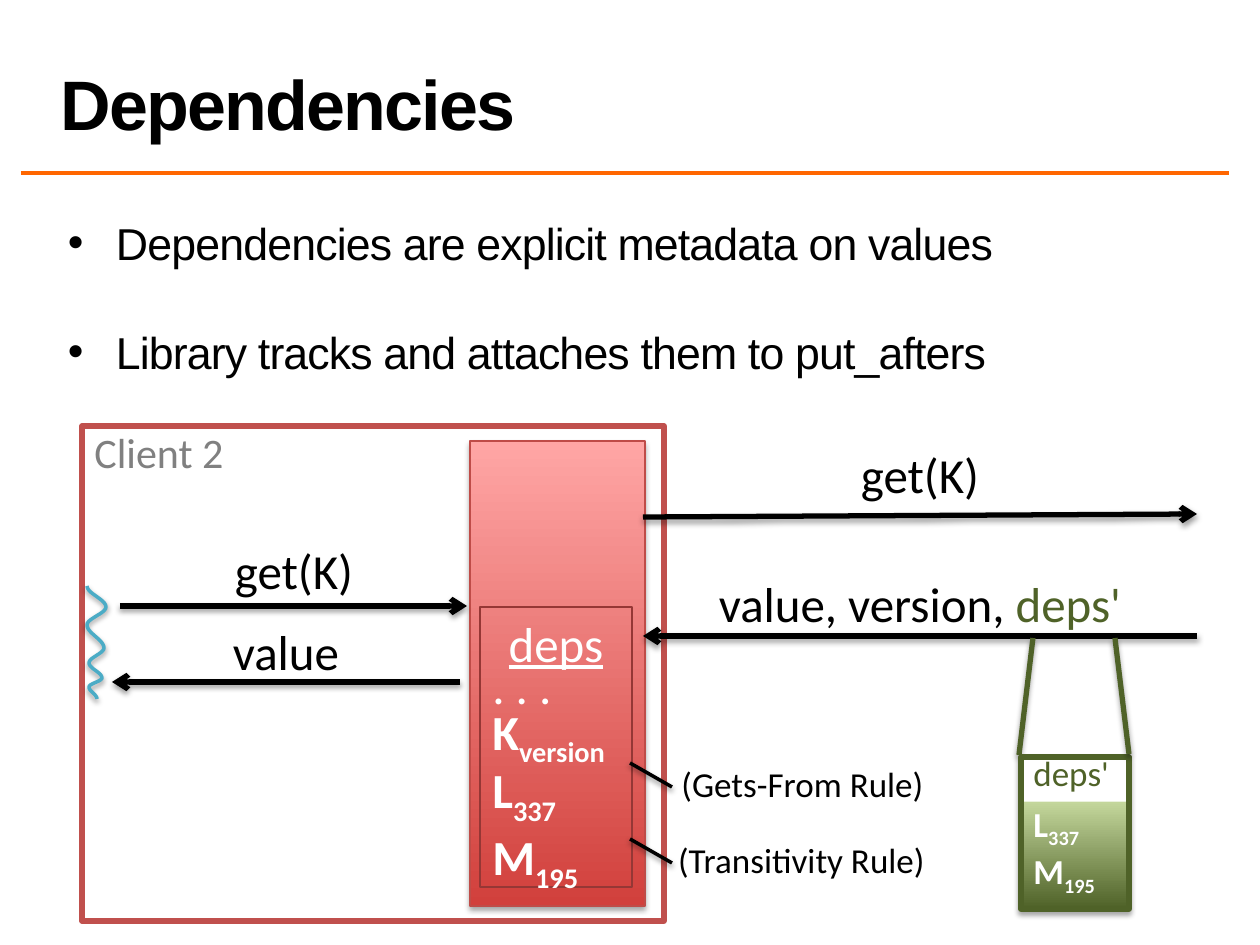
from lxml import etree
from math import cos, pi
from pptx import Presentation
from pptx.dml.color import RGBColor
from pptx.enum.shapes import MSO_CONNECTOR, MSO_SHAPE
from pptx.enum.text import MSO_ANCHOR, PP_ALIGN
from pptx.oxml.ns import qn
from pptx.util import Pt

PIXEL = 914400 / 126
STRAIGHT = MSO_CONNECTOR.STRAIGHT
RECTANGLE = MSO_SHAPE.RECTANGLE
TOP, BOTTOM = MSO_ANCHOR.TOP, MSO_ANCHOR.BOTTOM
LEFT, CENTER = PP_ALIGN.LEFT, PP_ALIGN.CENTER

COLORS = {
    "black": "000000", "white": "FFFFFF", "gray": "808080", "orange": "FF6600",
    "client": "C0504D", "library": "BF4C48", "library_dark": "D1403C",
    "library_light": "FFA6A5", "deps": "953735", "green": "4F6228",
    "green_light": "C3D69B", "thread": "4BACC6",
}


def px(value):
    return round(value * PIXEL)


def rgb(name):
    return RGBColor.from_string(COLORS[name])


def add_color(parent, name):
    return etree.SubElement(parent, qn("a:srgbClr"), val=COLORS[name])


def add_shadow(shape, opacity=38):
    properties = shape.element.spPr
    effects = properties.find(qn("a:effectLst"))
    if effects is None:
        effects = etree.SubElement(properties, qn("a:effectLst"))
    shadow = etree.SubElement(effects, qn("a:outerShdw"), blurRad=str(Pt(3.1)),
                              dist=str(Pt(1.8)), dir="5400000", rotWithShape="0")
    etree.SubElement(add_color(shadow, "black"), qn("a:alpha"), val=str(opacity * 1000))


def set_gradient(shape, stops):
    shape.fill.gradient()
    shape.fill.gradient_angle = 90
    stop_list = shape.element.spPr.find(".//" + qn("a:gsLst"))
    stop_list.clear()
    for position, name in stops:
        stop = etree.SubElement(stop_list, qn("a:gs"), pos=str(position * 1000))
        add_color(stop, name)


def add_line(page, start, end, color="black", width=3, arrow=False, shadow=True):
    line = page.shapes.add_connector(STRAIGHT, *map(px, start + end))
    line.line.color.rgb = rgb(color)
    line.line.width = Pt(width)
    if arrow:
        outline = line.line._get_or_add_ln()
        etree.SubElement(outline, qn("a:tailEnd"), type="arrow")
    etree.SubElement(line.element.spPr, qn("a:effectLst"))
    if shadow:
        add_shadow(line)


def add_box(page, area, line, width, fill=None, stops=None, shadow=False):
    box = page.shapes.add_shape(RECTANGLE, *map(px, area))
    box.shadow.inherit = False
    if stops:
        set_gradient(box, stops)
    elif fill:
        box.fill.solid()
        box.fill.fore_color.rgb = rgb(fill)
    else:
        box.fill.background()
    box.line.color.rgb = rgb(line)
    box.line.width = Pt(width)
    if shadow:
        add_shadow(box, 35)
    return box


def add_span(para, text, size, color="black", font="Calibri", bold=False,
             underline=False, subscript=False, spacing=None):
    span = para.add_run()
    span.text = text
    span.font.name = font
    span.font.size = Pt(size)
    span.font.bold = bold
    span.font.underline = underline
    span.font.color.rgb = rgb(color)
    properties = span.font._element
    if subscript:
        properties.set("baseline", "-25000")
    if spacing:
        properties.set("spc", str(round(spacing * 100)))


def next_para(frame, align=LEFT, spacing=None):
    para = frame.paragraphs[0]
    if para.runs:
        para = frame.add_paragraph()
    para.alignment = align
    if spacing:
        para.line_spacing = spacing
    return para


def add_text(page, area, anchor=TOP):
    frame = page.shapes.add_textbox(*map(px, area)).text_frame
    frame.word_wrap = True
    frame.vertical_anchor = anchor
    return frame


def add_label(page, area, text, size=28, color="black", align=CENTER):
    para = next_para(add_text(page, area), align)
    add_span(para, text, size, color)
    return para


def add_versioned(frame, key, version, size, spacing=None):
    para = next_para(frame, spacing=spacing)
    add_span(para, key, size, "white", bold=True)
    add_span(para, version, size, "white", bold=True, subscript=True)


def add_heading(page, text):
    frame = add_text(page, (48, 3, 1181, 147), BOTTOM)
    add_span(next_para(frame, spacing=0.8), text, 40, font="Arial", bold=True, spacing=-1)


def add_bullets(page, lines):
    frame = add_text(page, (63, 221, 1197, 165))
    frame.margin_left = frame.margin_right = px(5)
    frame.margin_top = frame.margin_bottom = px(5)
    for line in lines:
        para = next_para(frame, spacing=0.8)
        para.space_before, para.space_after = Pt(30), Pt(8)
        add_span(para, line, 25.5, font="Arial", spacing=-0.5)
        properties = para._p.get_or_add_pPr()
        properties.set("marL", str(px(48)))
        properties.set("indent", str(-px(48)))
        etree.SubElement(properties, qn("a:buFont"), typeface="Arial")
        etree.SubElement(properties, qn("a:buChar"), char="•")


def add_thread(page):
    turns = [(87, 586), (106, 607), (87, 625), (104, 648),
             (89, 663), (102, 678), (89, 687), (97, 699)]
    steps = 10
    points = []
    for (x1, y1), (x2, y2) in zip(turns, turns[1:]):
        for step in range(1, steps + 1):
            part = step / steps
            ease = (1 - cos(pi * part)) / 2
            points.append((px(x1 + (x2 - x1) * ease), px(y1 + (y2 - y1) * part)))
    builder = page.shapes.build_freeform(px(turns[0][0]), px(turns[0][1]))
    builder.add_line_segments(points, close=False)
    thread = builder.convert_to_shape()
    thread.shadow.inherit = False
    thread.fill.background()
    thread.line.color.rgb = rgb("thread")
    thread.line.width = Pt(2)
    add_shadow(thread)


def add_library(page):
    add_box(page, (470, 441, 175, 465), "library", 0.75, shadow=True,
            stops=[(0, "library_dark"), (100, "library_light")])
    frame = add_box(page, (480, 607, 152, 280), "deps", 1.5).text_frame
    frame.word_wrap = True
    frame.vertical_anchor = TOP
    add_span(next_para(frame, CENTER), "deps", 28, "white", underline=True)
    add_span(next_para(frame, spacing=0.7), ". . .", 28, "white")
    add_versioned(frame, "K", "version", 28, 0.7)
    add_versioned(frame, "L", "337", 28)
    add_versioned(frame, "M", "195", 28)


def add_remote_deps(page):
    add_line(page, (1033, 638), (1019, 755), "green")
    box = add_box(page, (1021, 757, 108, 152), "green", 3, shadow=True,
                  stops=[(0, "green"), (70, "green_light"), (71, "white")])
    frame = box.text_frame
    frame.word_wrap = True
    frame.vertical_anchor = TOP
    add_span(next_para(frame, spacing=0.7), "deps'", 20, "green")
    add_versioned(frame, "L", "337", 20, 1.2)
    add_versioned(frame, "M", "195", 20)
    add_line(page, (1115, 638), (1129, 754), "green")


def main():
    deck = Presentation()
    deck.slide_width, deck.slide_height = px(1260), px(945)
    page = deck.slides.add_slide(deck.slide_layouts[6])
    add_line(page, (21, 173), (1229, 173), "orange", 2, shadow=False)
    add_box(page, (82, 426, 582, 495), "client", 3, fill="white")
    add_library(page)
    for left, top, rule in [(665, 756, "(Gets-From Rule)"), (664, 832, "(Transitivity Rule)")]:
        add_label(page, (left, top, 275, 55), rule, 20)
        add_line(page, (672, top + 31), (630, top + 7), width=2)
    for start, end in [((120, 606), (467, 606)), ((643, 517), (1197, 514)),
                       ((1197, 636), (643, 636)), ((460, 682), (112, 682))]:
        add_line(page, start, end, arrow=True)
    add_label(page, (120, 534, 348, 72), "get(K)")
    add_label(page, (643, 438, 554, 72), "get(K)")
    add_label(page, (112, 615, 348, 72), "value")
    reply = add_label(page, (643, 567, 554, 72), "value, version, ")
    add_span(reply, "deps'", 28, "green")
    add_remote_deps(page)
    add_thread(page)
    add_label(page, (82, 420, 236, 63), "Client 2", 24, "gray", LEFT)
    add_bullets(page, ["Dependencies are explicit metadata on values",
                       "Library tracks and attaches them to put_afters"])
    add_heading(page, "Dependencies")
    deck.save("out.pptx")


main()
